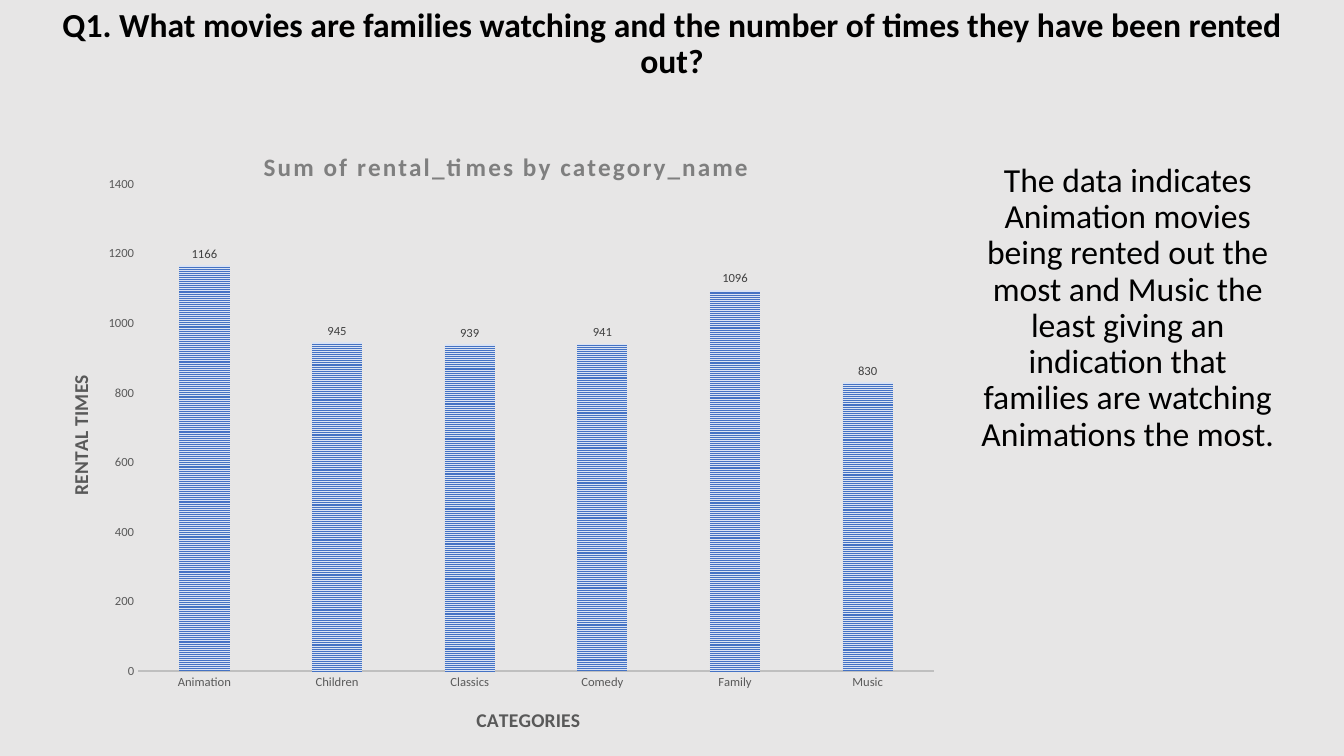
from lxml import etree
from pptx import Presentation
from pptx.chart.data import CategoryChartData
from pptx.dml.color import RGBColor
from pptx.enum import chart as ce, dml, text
from pptx.oxml.ns import qn
from pptx.util import Inches, Pt

BACKDROP = RGBColor(0xE7, 0xE6, 0xE6)
BLACK = RGBColor(0, 0, 0)
BAR = RGBColor(0x44, 0x72, 0xC4)
BAR_GAP = RGBColor(0xDA, 0xE3, 0xF3)
AXIS_LINE = RGBColor(0xBF, 0xBF, 0xBF)
HEADING = RGBColor(0x7F, 0x7F, 0x7F)
AXIS_TEXT = RGBColor(0x59, 0x59, 0x59)
LABEL_TEXT = RGBColor(0x40, 0x40, 0x40)

RENTALS = {"Animation": 1166, "Children": 945, "Classics": 939,
           "Comedy": 941, "Family": 1096, "Music": 830}


def set_attributes(target, **values):
    """Set each named value on the target."""
    for name, value in values.items():
        setattr(target, name, value)


def style_font(font, size, color, bold=False):
    """Apply Calibri with a size, colour and weight."""
    set_attributes(font, name="Calibri", size=Pt(size), bold=bold)
    font.color.rgb = color


def place(element, position, **values):
    """Give a chart part a manual layout at the child position."""
    for old in element.findall(qn("c:layout")):
        element.remove(old)
    layout = etree.Element(qn("c:layout"))
    manual = etree.SubElement(layout, qn("c:manualLayout"))
    for tag, value in values.items():
        etree.SubElement(manual, qn(f"c:{tag}")).set("val", str(value))
    element.insert(position, layout)


def add_text(slide, box, wording, anchor, bold=False, space_before=0):
    """Add a centred 24-point paragraph in the box."""
    frame = slide.shapes.add_textbox(*map(Inches, box)).text_frame
    set_attributes(frame, word_wrap=True, vertical_anchor=anchor)
    paragraph = frame.paragraphs[0]
    set_attributes(paragraph, text=wording, alignment=text.PP_ALIGN.CENTER,
                   line_spacing=0.9, space_before=Pt(space_before))
    style_font(paragraph.runs[0].font, 24, BLACK, bold)


def add_chart_title(title, wording, size, color, x, y):
    """Write a bold title whose corner is at a fraction of the chart."""
    title.text_frame.text = wording
    run = title.text_frame.paragraphs[0].runs[0]
    style_font(run.font, size, color, True)
    place(title._element, 1, xMode="edge", yMode="edge", x=x, y=y)
    return run


def style_axis(axis, wording, x, y):
    """Style an axis without ticks or gridlines and title it."""
    set_attributes(axis, has_major_gridlines=False,
                   major_tick_mark=ce.XL_TICK_MARK.NONE,
                   minor_tick_mark=ce.XL_TICK_MARK.NONE)
    style_font(axis.tick_labels.font, 9, AXIS_TEXT)
    add_chart_title(axis.axis_title, wording, 14, AXIS_TEXT, x, y)


def add_rental_chart(slide, box):
    """Draw the rentals per category as patterned columns in the box."""
    data = CategoryChartData()
    data.categories = list(RENTALS)
    data.add_series("Series 1", list(RENTALS.values()))
    chart = slide.shapes.add_chart(
        ce.XL_CHART_TYPE.COLUMN_CLUSTERED, *map(Inches, box), data).chart
    style_font(chart.font, 10, BLACK)
    chart.has_legend = False

    heading = add_chart_title(chart.chart_title, "Sum of rental_times by category_name",
                              18, HEADING, 0.23, 0.04)
    heading.font._element.set("spc", "150")
    style_axis(chart.category_axis, "CATEGORIES", 0.47, 0.95)
    style_axis(chart.value_axis, "RENTAL TIMES", 0.01, 0.41)
    set_attributes(chart.value_axis, minimum_scale=0, maximum_scale=1400, major_unit=200)
    chart.value_axis.format.line.fill.background()
    baseline = chart.category_axis.format.line
    baseline.color.rgb = AXIS_LINE
    baseline.width = Pt(1.5)

    columns = chart.plots[0]
    set_attributes(columns, gap_width=164, overlap=-22, vary_by_categories=False,
                   has_data_labels=True)
    set_attributes(columns.data_labels, show_value=True,
                   position=ce.XL_LABEL_POSITION.OUTSIDE_END)
    style_font(columns.data_labels.font, 9, LABEL_TEXT)
    fill = columns.series[0].format.fill
    fill.patterned()
    fill.pattern = dml.MSO_PATTERN.NARROW_HORIZONTAL
    fill.fore_color.rgb = BAR
    fill.back_color.rgb = BAR_GAP
    place(chart._chartSpace.chart.plotArea, 0, layoutTarget="inner", xMode="edge",
          yMode="edge", x=0.094, y=0.103, w=0.894, h=0.795)


def build_rental_slide(deck):
    """Lay out the question, the chart and the finding."""
    slide = deck.slides.add_slide(deck.slide_layouts[6])
    backdrop = slide.background.fill
    backdrop.solid()
    backdrop.fore_color.rgb = BACKDROP
    add_text(slide, (0.32, 0.18, 12.69, 0.67),
             "Q1. What movies are families watching and the number of times "
             "they have been rented out?", text.MSO_ANCHOR.BOTTOM, bold=True)
    add_text(slide, (9.58, 1.57, 3.21, 5.75),
             "The data indicates Animation movies being rented out the most and "
             "Music the least giving an indication that families are watching "
             "Animations the most.", text.MSO_ANCHOR.TOP, space_before=10)
    add_rental_chart(slide, (0.54, 1.2, 8.83, 6.13))


deck = Presentation()
set_attributes(deck, slide_width=Inches(13.33), slide_height=Inches(7.5))
build_rental_slide(deck)
deck.save("out.pptx")
